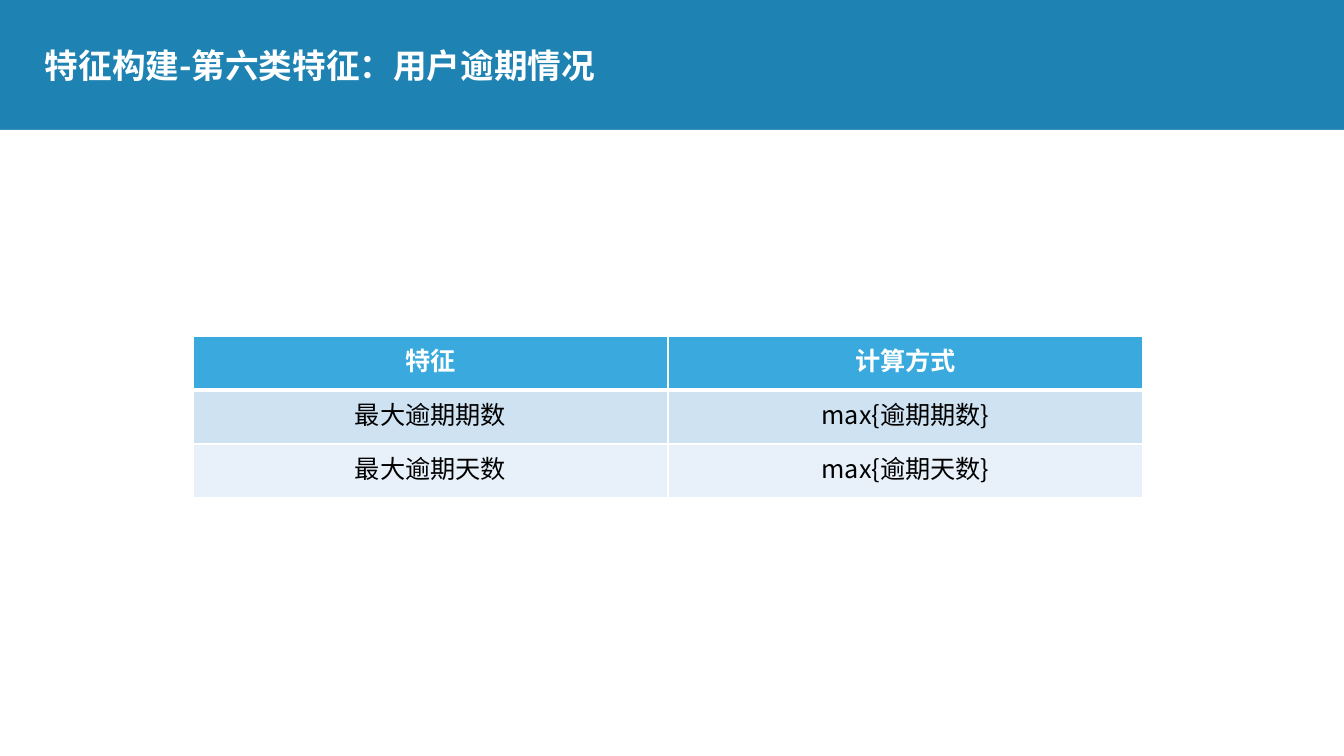
from lxml import etree
from pptx import Presentation
from pptx import util as u
from pptx.dml.color import RGBColor
from pptx.enum import shapes, text
from pptx.oxml.ns import qn

PX = 914400 / 100.8
FONT = "Noto Sans CJK SC"
COLORS = {
    "banner": "1E83B3",
    "white": "FFFFFF",
    "black": "000000",
    "header": "39A9DE",
    "band_dark": "CEE2F2",
    "band_light": "E8F1F9",
}
FEATURES = [
    ("特征", "计算方式"),
    ("最大逾期期数", "max{逾期期数}"),
    ("最大逾期天数", "max{逾期天数}"),
]


def px(*lengths):
    return [u.Emu(round(length * PX)) for length in lengths]


def paint(fill, color):
    fill.solid()
    fill.fore_color.rgb = RGBColor.from_string(COLORS[color])


def style_text(paragraph, size, color, bold):
    for run in paragraph.runs:
        run.font.size = u.Pt(size)
        run.font.bold = bold
        run.font.color.rgb = RGBColor.from_string(COLORS[color])
        run.font.name = FONT
        etree.SubElement(run.font._element, qn("a:ea"), typeface=FONT)


def add_panel(slide, box):
    panel = slide.shapes.add_shape(shapes.MSO_SHAPE.RECTANGLE, *px(*box))
    panel.shadow.inherit = False
    paint(panel.fill, "white")
    panel.line.fill.background()


def add_title(slide, box, wording):
    title = slide.shapes.add_textbox(*px(*box)).text_frame
    title.word_wrap = True
    title.vertical_anchor = text.MSO_ANCHOR.MIDDLE
    line = title.paragraphs[0]
    line.text = wording
    line.line_spacing = 0.9
    line.space_before = u.Pt(10)
    style_text(line, 24, "white", True)


def set_borders(cell, widths):
    properties = cell._tc.get_or_add_tcPr()
    for position, (side, points) in enumerate(widths.items()):
        border = etree.Element(qn(f"a:{side}"), w=str(u.Pt(points)))
        fill = etree.SubElement(border, qn("a:solidFill"))
        etree.SubElement(fill, qn("a:srgbClr"), val=COLORS["white"])
        properties.insert(position, border)


def add_feature_table(slide, box, rows):
    table = slide.shapes.add_table(len(rows), len(rows[0]), *px(*box)).table
    bands = ["header", "band_dark", "band_light"]
    for r, (row, band) in enumerate(zip(rows, bands)):
        is_header = r == 0
        for c, wording in enumerate(row):
            cell = table.cell(r, c)
            paint(cell.fill, band)
            set_borders(cell, {"lnL": 1, "lnR": 1,
                               "lnT": 3 if r == 1 else 1,
                               "lnB": 3 if is_header else 1})
            line = cell.text_frame.paragraphs[0]
            line.text = wording
            line.alignment = text.PP_ALIGN.CENTER
            style_text(line, 18, "white" if is_header else "black", is_header)


def main():
    deck = Presentation()
    deck.slide_width, deck.slide_height = px(1344, 756)
    slide = deck.slides.add_slide(deck.slide_layouts[6])

    # Blue banner with the white content area below it
    paint(slide.background.fill, "banner")
    add_panel(slide, (0, 130, 1344, 626))
    add_title(slide, (35, 28, 733, 80), "特征构建-第六类特征：用户逾期情况")

    # Overdue features and how each is computed
    add_feature_table(slide, (193, 336, 950, 162), FEATURES)

    deck.save("out.pptx")


if __name__ == "__main__":
    main()
